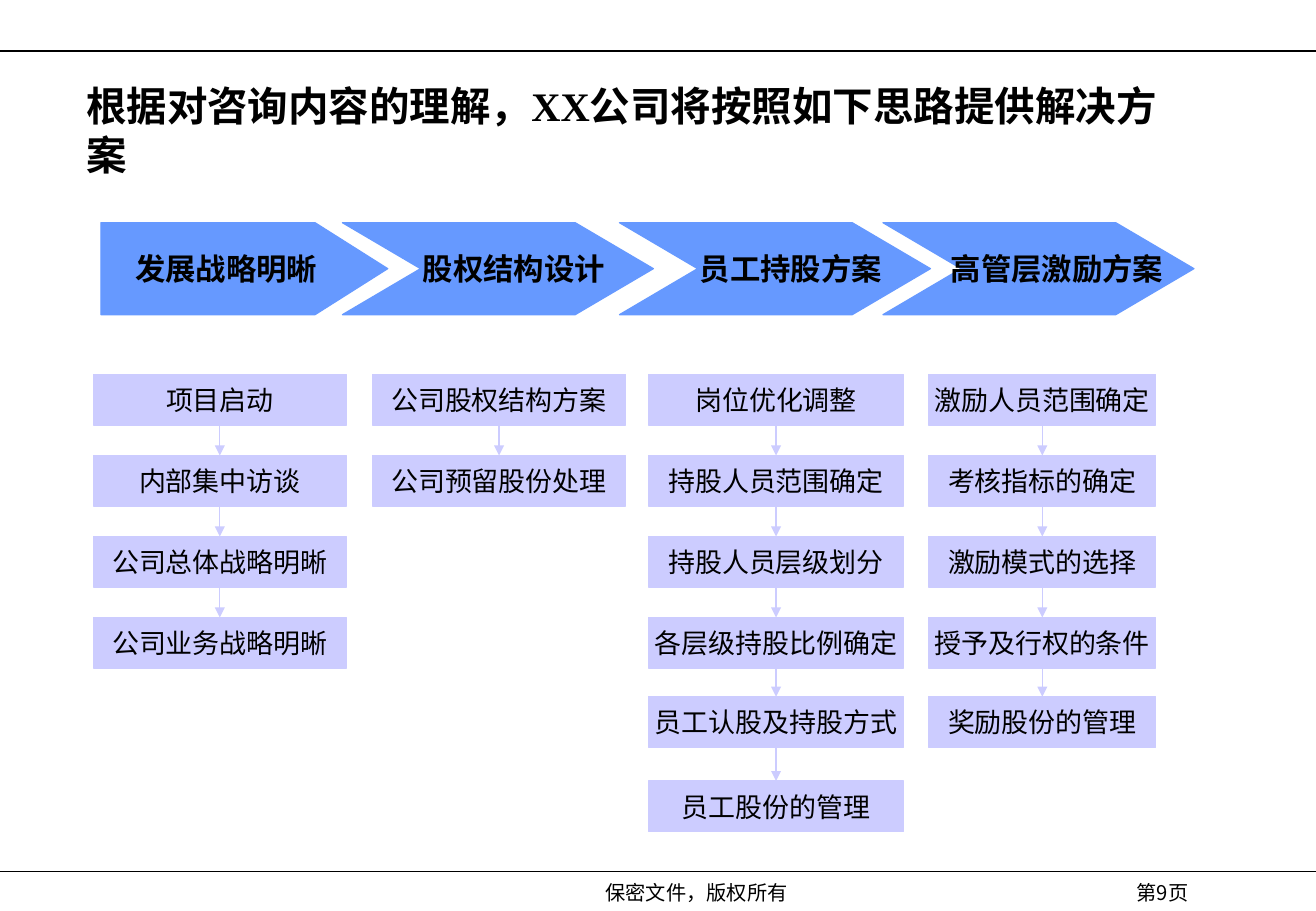
from lxml import etree
from pptx import Presentation
from pptx.dml.color import RGBColor
from pptx.enum import shapes, text
from pptx.oxml import ns
from pptx.util import Pt

SANS, SERIF = "Noto Sans CJK SC", "Times New Roman"
BLACK, BLUE, LILAC = "000000", "6699FF", "CCCCFF"
WIDTH, HEIGHT = 780, 540

TITLE = "根据对咨询内容的理解，XX公司将按照如下思路提供解决方案"
# stage name, left, width, left text inset
STAGES = [
    ("发展战略明晰", 59.8, 170, 0),
    ("股权结构设计", 203, 184.3, 19),
    ("员工持股方案", 367.2, 184.3, 19),
    ("高管层激励方案", 523.4, 184.3, 22),
]
# left, width, steps
COLUMNS = [
    (55.4, 149.8, ["项目启动", "内部集中访谈", "公司总体战略明晰", "公司业务战略明晰"]),
    (220.8, 150, ["公司股权结构方案", "公司预留股份处理"]),
    (384.5, 151, ["岗位优化调整", "持股人员范围确定", "持股人员层级划分",
                   "各层级持股比例确定", "员工认股及持股方式", "员工股份的管理"]),
    (550.5, 134.6, ["激励人员范围确定", "考核指标的确定", "激励模式的选择",
                    "授予及行权的条件", "奖励股份的管理"]),
]
ROW_TOPS = [222, 270, 318, 366, 413, 463]
# text, left, width
FOOTERS = [("保密文件，版权所有", 201.6, 422.6), ("第9页", 630.7, 116.6)]
RULES = [30.3, 516.8]

deck = Presentation()
deck.slide_width, deck.slide_height = Pt(WIDTH), Pt(HEIGHT)
page = deck.slides.add_slide(deck.slide_layouts[6])


def color(value):
    return RGBColor.from_string(value)


def write(box, words, size, latin=SANS, bold=False, align=text.PP_ALIGN.CENTER):
    para = box.text_frame.paragraphs[0]
    para.alignment = align
    span = para.add_run()
    span.text = words
    span.font.size, span.font.bold, span.font.name = Pt(size), bold, latin
    span.font.color.rgb = color(BLACK)
    east_asian = etree.SubElement(span.font._element, ns.qn("a:ea"))
    east_asian.set("typeface", SANS)
    return para


def add_text(words, left, top, width, height, size, **style):
    box = page.shapes.add_textbox(Pt(left), Pt(top), Pt(width), Pt(height))
    box.text_frame.word_wrap = True
    return box, write(box, words, size, **style)


def add_block(kind, words, left, top, width, height, fill, size, bold=False):
    box = page.shapes.add_shape(kind, Pt(left), Pt(top), Pt(width), Pt(height))
    box.shadow.inherit = False
    box.fill.solid()
    box.fill.fore_color.rgb = box.line.color.rgb = color(fill)
    box.line.width = Pt(0.75)
    box.text_frame.word_wrap = False
    box.text_frame.vertical_anchor = text.MSO_ANCHOR.MIDDLE
    write(box, words, size, bold=bold)
    return box


def add_line(x1, y1, x2, y2, stroke):
    line = page.shapes.add_connector(
        shapes.MSO_CONNECTOR.STRAIGHT, Pt(x1), Pt(y1), Pt(x2), Pt(y2))
    line.line.color.rgb = color(stroke)
    line.line.width = Pt(0.75)
    etree.SubElement(line._element.spPr, ns.qn("a:effectLst"))
    return line


# Page rules, footer and title
for y in RULES:
    add_line(0, y, WIDTH, y, BLACK)
for words, left, width in FOOTERS:
    add_text(words, left, 518.4, width, 21.6, 12)
title, para = add_text(TITLE, 43.9, 47, 663, 60, 24, latin=SERIF, bold=True,
                       align=text.PP_ALIGN.LEFT)
title.text_frame.vertical_anchor = text.MSO_ANCHOR.MIDDLE
para.line_spacing = Pt(29)

# Stage arrows: the first is a pentagon, the rest are chevrons
for index, (words, left, width, inset) in enumerate(STAGES):
    kind = shapes.MSO_SHAPE.CHEVRON if index else shapes.MSO_SHAPE.PENTAGON
    stage = add_block(kind, words, left, 132, width, 54.5, BLUE, 18, bold=True)
    stage.adjustments[0] = 0.85 if index else 0.79
    stage.text_frame.margin_left, stage.text_frame.margin_right = Pt(inset), 0

# Step columns, each step joined to the one above
for left, width, steps in COLUMNS:
    above = None
    for top, words in zip(ROW_TOPS, steps):
        step = add_block(shapes.MSO_SHAPE.RECTANGLE, words, left, top, width, 30, LILAC, 16)
        if above is not None:
            arrow = add_line(left, top, left, top, LILAC)
            arrow.begin_connect(above, 2)
            arrow.end_connect(step, 0)
            tip = etree.SubElement(arrow.line._get_or_add_ln(), ns.qn("a:tailEnd"))
            tip.set("type", "triangle")
        above = step

deck.save("out.pptx")
